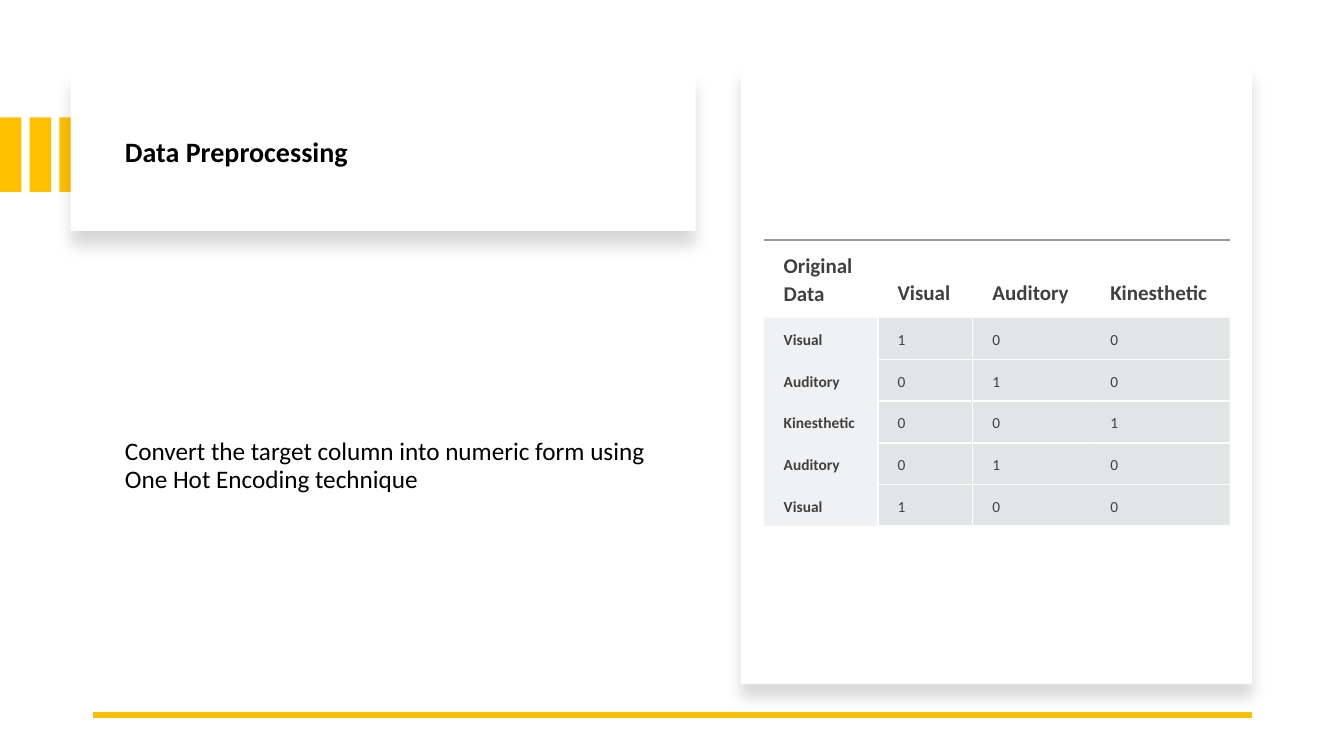
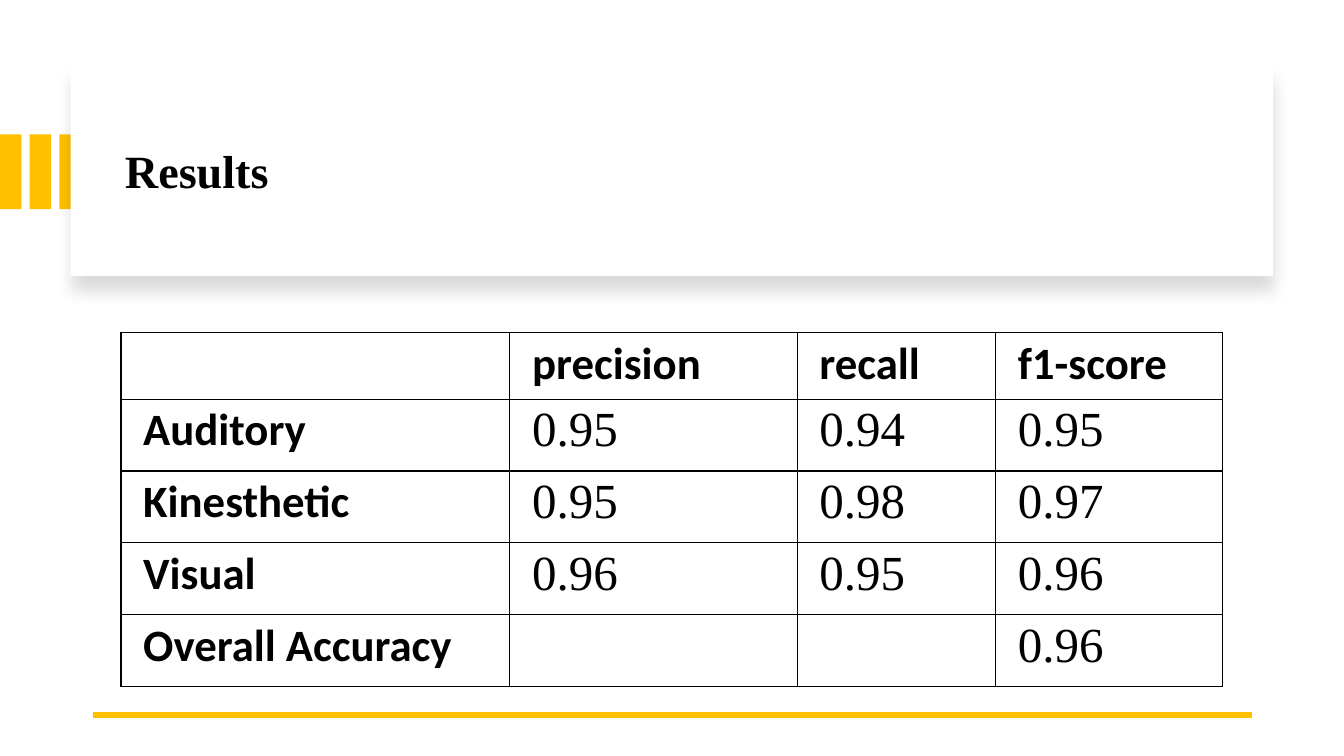
from pptx import Presentation
from pptx.dml.color import RGBColor
from pptx.enum.shapes import MSO_CONNECTOR, MSO_SHAPE
from pptx.enum.text import MSO_ANCHOR
from pptx.oxml.ns import qn
from pptx.util import Cm, Pt
from lxml.etree import SubElement

AMBER, WHITE, BLACK = "FFC000", "FFFFFF", "000000"
CHARCOAL, GREY, HEADER_RULE = "404040", "B4BCBE", "8F9A9D"
SANS, SERIF = "Calibri", "Times New Roman"
PLAIN_TABLE = "{2D5ABB26-0587-4C30-8999-92F81FD0307C}"
SIDES = ("L", "R", "T", "B")


def rgb(color):
    return RGBColor.from_string(color)


def apply(target, values):
    for name, value in values.items():
        setattr(target, name, value)


def write(frame, text, font, color, spacing):
    """Fill a text frame or cell frame with one formatted paragraph."""
    paragraph = frame.paragraphs[0]
    apply(paragraph, spacing)
    run = paragraph.add_run()
    run.text = text
    apply(run.font, font)
    run.font.color.rgb = rgb(color)


def add_color(parent, color, opacity):
    fill = SubElement(parent, qn("a:solidFill"))
    tone = SubElement(fill, qn("a:srgbClr"), val=color)
    SubElement(tone, qn("a:alpha"), val=str(opacity * 1000))
    return fill


# Shared parts
def add_block(slide, box, color):
    block = slide.shapes.add_shape(MSO_SHAPE.RECTANGLE, *map(Cm, box))
    block.shadow.inherit = False
    block.fill.solid()
    block.fill.fore_color.rgb = rgb(color)
    block.line.fill.background()
    return block


def add_card(slide, box):
    card = add_block(slide, box, WHITE)
    effects = card.element.spPr.find(qn("a:effectLst"))
    shadow = SubElement(effects, qn("a:outerShdw"), blurRad=str(Pt(11)),
                        dist=str(Pt(10)), dir="5400000", algn="t", rotWithShape="0")
    tone = SubElement(shadow, qn("a:srgbClr"), val=BLACK)
    SubElement(tone, qn("a:alpha"), val="15000")


def add_text(slide, box, text, font, bottom_inset=0.13):
    frame = slide.shapes.add_textbox(*map(Cm, box)).text_frame
    apply(frame, {"word_wrap": True, "vertical_anchor": MSO_ANCHOR.MIDDLE,
                  "margin_bottom": Cm(bottom_inset)})
    write(frame, text, font, BLACK, {"line_spacing": 0.9})


def add_heading(slide, box, title, font, stripes_top):
    left, top, width, height = box
    for index in range(3):
        add_block(slide, (index * 0.75, stripes_top, 0.54, 1.88), AMBER)
    add_card(slide, box)
    add_text(slide, (left + 1.12, top + 0.55, width - 1.7, height - 1), title, font)


def add_footer_rule(slide):
    rule = slide.shapes.add_connector(
        MSO_CONNECTOR.STRAIGHT, Cm(31.55), Cm(18.02), Cm(2.34), Cm(18.02))
    rule.line.color.rgb = rgb(AMBER)
    rule.line.width = Pt(4.5)
    SubElement(rule.element.spPr, qn("a:effectLst"))


# Tables
def add_grid(slide, left, top, widths, heights):
    holder = slide.shapes.add_table(len(heights), len(widths), Cm(left), Cm(top),
                                    Cm(sum(widths)), Cm(sum(heights)))
    holder.element.xpath(".//a:tableStyleId")[0].text = PLAIN_TABLE
    grid = holder.table
    apply(grid, {"first_row": False, "horz_banding": False})
    for column, width in zip(grid.columns, widths):
        column.width = Cm(width)
    for row, height in zip(grid.rows, heights):
        row.height = Cm(height)
    return grid


def style_cell(cell, margins, borders, fill=None):
    """Borders map a side to (colour, points, opacity); fill is (colour, opacity)."""
    for side, margin in zip(("left", "top", "right", "bottom"), margins):
        setattr(cell, f"margin_{side}", Cm(margin))
    properties = cell._tc.get_or_add_tcPr()
    for side in SIDES:
        if side in borders:
            color, points, opacity = borders[side]
            edge = SubElement(properties, qn(f"a:ln{side}"), w=str(Pt(points)))
            add_color(edge, color, opacity)
    if fill:
        add_color(properties, *fill)
    else:
        cell.fill.background()


def add_encoding_table(slide, left, top):
    learners = ["Visual", "Auditory", "Kinesthetic"]
    rows = [["Original Data"] + learners]
    for learner in learners + ["Auditory", "Visual"]:
        rows.append([learner] + [str(int(learner == style)) for style in learners])
    grid = add_grid(slide, left, top, [2.87, 2.39, 2.97, 3.51], [1.9] + [1.05] * 5)
    gap = (WHITE, 1.5, 100)
    for r, row in enumerate(rows):
        for c, text in enumerate(row):
            cell = grid.cell(r, c)
            if r == 0:
                style_cell(cell, (0.5, 0.3, 0.3, 0.3), {"T": (HEADER_RULE, 1.5, 100)})
            elif c == 0:
                style_cell(cell, (0.5, 0.25, 0.25, 0.25), {"R": gap}, (GREY, 20))
            else:
                borders = {"B": gap}
                if r > 1:
                    borders["T"] = gap
                if c == 1:
                    borders["L"] = gap
                style_cell(cell, (0.5, 0.25, 0.25, 0.25), borders, (GREY, 38))
            cell.vertical_anchor = MSO_ANCHOR.BOTTOM
            font = {"name": SANS, "size": Pt(11 if r else 15), "bold": r == 0 or c == 0}
            write(cell.text_frame, text, font, CHARCOAL, {"line_spacing": 1.07})


def add_score_table(slide, left, top):
    rows = [["", "precision", "recall", "f1-score"],
            ["Auditory", "0.95", "0.94", "0.95"],
            ["Kinesthetic", "0.95", "0.98", "0.97"],
            ["Visual", "0.96", "0.95", "0.96"],
            ["Overall Accuracy", "", "", "0.96"]]
    label_font = {"name": SANS, "size": Pt(32), "bold": True}
    score_font = {"name": SERIF, "size": Pt(35), "bold": False}
    grid = add_grid(slide, left, top, [9.8, 7.24, 5, 5.72], [1.68] + [1.81] * 4)
    borders = dict.fromkeys(SIDES, (BLACK, 1, 100))
    for r, row in enumerate(rows):
        for c, text in enumerate(row):
            cell = grid.cell(r, c)
            style_cell(cell, (0.56, 0, 0.56, 0), borders)
            if text:
                font = score_font if r and c else label_font
                write(cell.text_frame, text, font, BLACK,
                      {"line_spacing": 1.07, "space_after": Pt(8)})


# Slides
def build_preprocessing(slide):
    add_heading(slide, (1.78, 1.83, 15.75, 3.99), "Data Preprocessing",
                {"name": SANS, "size": Pt(20), "bold": True}, 2.96)
    add_text(slide, (2.9, 7.01, 13.87, 10.21),
             "Convert the target column into numeric form using "
             "One Hot Encoding technique",
             {"name": SANS, "size": Pt(18)}, bottom_inset=0.85)
    add_card(slide, (18.67, 1.7, 12.88, 15.54))
    add_footer_rule(slide)
    add_encoding_table(slide, 19.25, 6.05)


def build_results(slide):
    add_heading(slide, (1.78, 1.7, 30.3, 5.26), "Results",
                {"name": SERIF, "size": Pt(33), "bold": True}, 3.39)
    add_footer_rule(slide)
    add_score_table(slide, 3.05, 8.38)


deck = Presentation()
apply(deck, {"slide_width": Cm(33.87), "slide_height": Cm(19.05)})
for build in (build_preprocessing, build_results):
    build(deck.slides.add_slide(deck.slide_layouts[6]))
deck.save("out.pptx")
